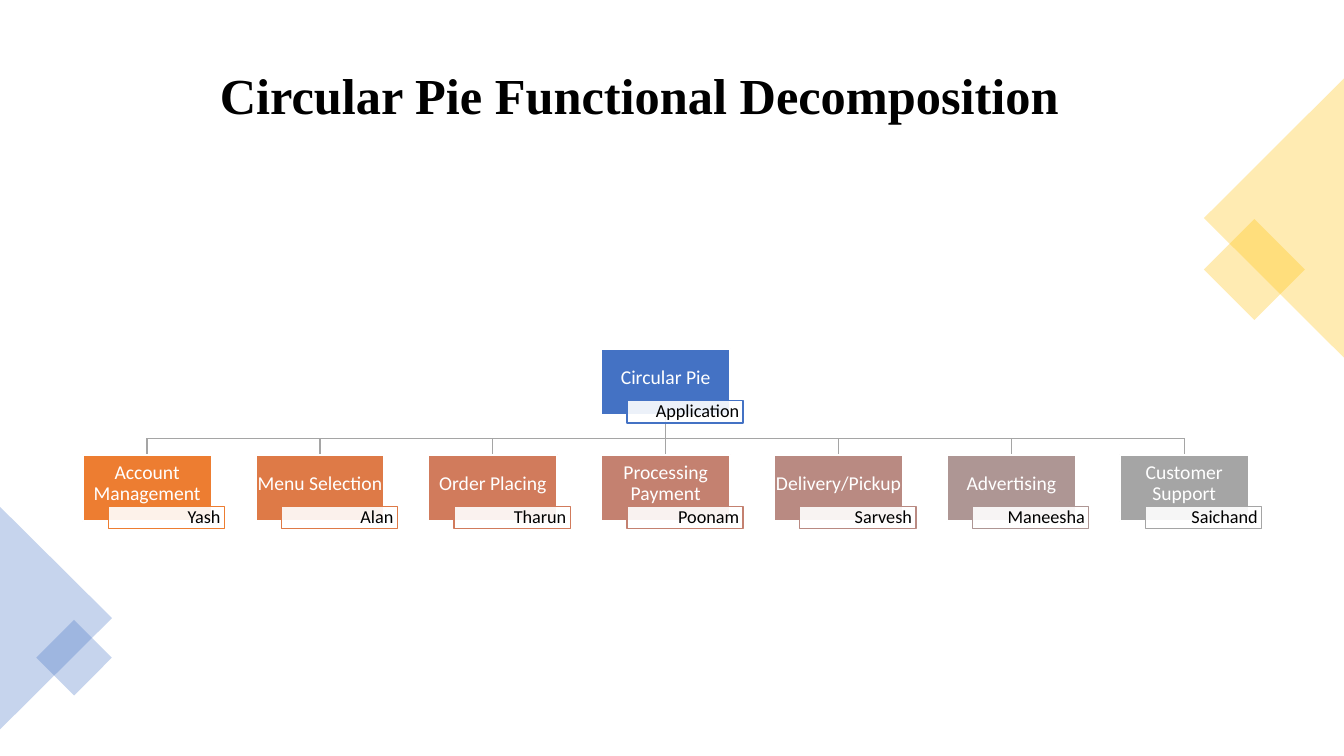
import pptx
import pptx.util
import pptx.dml.color
import pptx.enum.shapes
import pptx.enum.text
import pptx.oxml
import pptx.oxml.ns
from dataclasses import dataclass

Pt = pptx.util.Pt
KIND = pptx.enum.shapes.MSO_SHAPE
ALIGN = pptx.enum.text.PP_ALIGN


@dataclass(frozen=True)
class Theme:
    serif: str = "Times New Roman"
    sans: str = "Calibri"
    head: int = 36
    role: int = 14
    name: int = 13
    black: str = "000000"
    white: str = "FFFFFF"
    blue: str = "4472C4"
    gold: str = "FFC000"
    grey: str = "A5A5A5"
    scale: tuple = ("ED7D31", "DE7A47", "D17B5C", "C48170",
                    "B98A82", "AE9694", "A5A5A5")


THEME = Theme()
TEAM = [
    ("Account Management", "Yash"),
    ("Menu Selection", "Alan"),
    ("Order Placing", "Tharun"),
    ("Processing Payment", "Poonam"),
    ("Delivery/Pickup", "Sarvesh"),
    ("Advertising", "Maneesha"),
    ("Customer Support", "Saichand"),
]


def rgb(code):
    return pptx.dml.color.RGBColor.from_string(code)


def write(shape, text, font=THEME.sans, size=THEME.role, color=THEME.white,
          bold=False, align=ALIGN.CENTER, inset=(0.7, 0.7, 0.7, 6.5)):
    frame = shape.text_frame
    frame.word_wrap = True
    frame.auto_size = pptx.enum.text.MSO_AUTO_SIZE.NONE
    frame.vertical_anchor = pptx.enum.text.MSO_ANCHOR.MIDDLE
    (frame.margin_left, frame.margin_top,
     frame.margin_right, frame.margin_bottom) = map(Pt, inset)
    para = frame.paragraphs[0]
    para.alignment = align
    para.line_spacing = 0.9
    run = para.add_run()
    run.text = text
    run.font.name = font
    run.font.size = Pt(size)
    run.font.bold = bold
    run.font.color.rgb = rgb(color)


def draw(slide, kind, box, fill, alpha=100, line=None, width=1, turn=0):
    shape = slide.shapes.add_shape(kind, *map(Pt, box))
    shape.shadow.inherit = False
    shape.rotation = turn
    shape.fill.solid()
    shape.fill.fore_color.rgb = rgb(fill)
    if alpha < 100:
        tint = shape.element.spPr.find(pptx.oxml.ns.qn("a:solidFill"))[0]
        pptx.oxml.ns.qn("a:alpha")
        mark = tint.makeelement(pptx.oxml.ns.qn("a:alpha"), {"val": str(alpha * 1000)})
        tint.append(mark)
    if line:
        shape.line.color.rgb = rgb(line)
        shape.line.width = Pt(width)
    else:
        shape.line.fill.background()
    return shape


def link(slide, *ends):
    line = slide.shapes.add_connector(
        pptx.enum.shapes.MSO_CONNECTOR.STRAIGHT, *map(Pt, ends))
    line.line.color.rgb = rgb(THEME.grey)
    line.line.width = Pt(1)
    spot = line.element.spPr
    spot.append(spot.makeelement(pptx.oxml.ns.qn("a:effectLst"), {}))


def title(slide, box, text):
    shape = slide.shapes.title
    shape.left, shape.top, shape.width, shape.height = map(Pt, box)
    write(shape, text, font=THEME.serif, size=THEME.head, color=THEME.black,
          bold=True, align=ALIGN.LEFT, inset=(106.6, 3.6, 7.2, 3.6))


def corner(slide, box, color, side, drop, turn):
    left, top, width, height = box
    wedge = (left + (width - height) / 2, top + (height - width) / 2, height, width)
    square = (left + drop[0], top + drop[1], side, side)
    draw(slide, KIND.RECTANGLE, square, color, alpha=30, turn=45)
    draw(slide, KIND.ISOSCELES_TRIANGLE, wedge, color, alpha=30, turn=turn)


def card(slide, box, role, name, color):
    left, top, width, height = box
    block = draw(slide, KIND.RECTANGLE, box, color, line=THEME.white, width=1.5)
    write(block, role)
    tag = draw(slide, KIND.RECTANGLE,
               (left + 0.2 * width, top + 37, 0.9 * width, height / 3),
               THEME.white, alpha=90, line=color)
    write(tag, name, size=THEME.name, color=THEME.black, align=ALIGN.RIGHT,
          inset=(2.9, 0.7, 2.9, 0.7))


def chart(slide, box, root, team):
    left, top, width, height = box
    wide, tall = 92.2, 47.5
    step = (width - wide) / (len(team) - 1)
    mid = left + width / 2
    row = top + height - tall
    bar = row - 11.5
    spots = [left + i * step for i in range(len(team))]
    link(slide, mid, top + tall, mid, bar)
    link(slide, spots[0] + wide / 2, bar, spots[-1] + wide / 2, bar)
    for x in spots:
        link(slide, x + wide / 2, bar, x + wide / 2, row)
    card(slide, (mid - wide / 2, top, wide, tall), *root, THEME.blue)
    for x, (role, name), color in zip(spots, team, THEME.scale):
        card(slide, (x, row, wide, tall), role, name, color)


def main():
    deck = pptx.Presentation()
    deck.slide_width, deck.slide_height = Pt(960), Pt(540)
    slide = deck.slides.add_slide(deck.slide_layouts[5])
    title(slide, (50.4, 25.2, 859, 89.3), "Circular Pie Functional Decomposition")
    corner(slide, (860, 56, 100, 199.5), THEME.gold, 51, (10.5, 111), 270)
    corner(slide, (0, 362, 80, 159), THEME.blue, 38.2, (33.8, 88.7), 90)
    chart(slide, (59, 249.2, 833, 123), ("Circular Pie", "Application"), TEAM)
    deck.save("out.pptx")


main()
